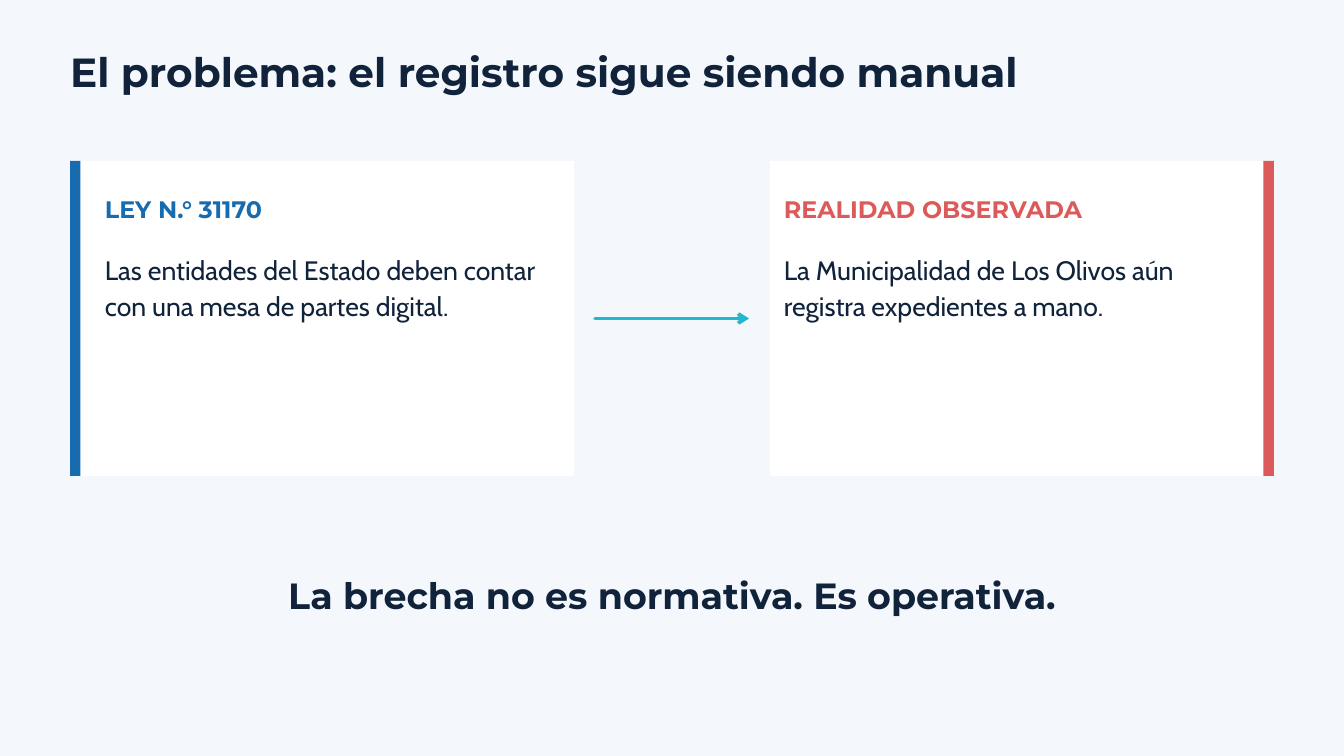
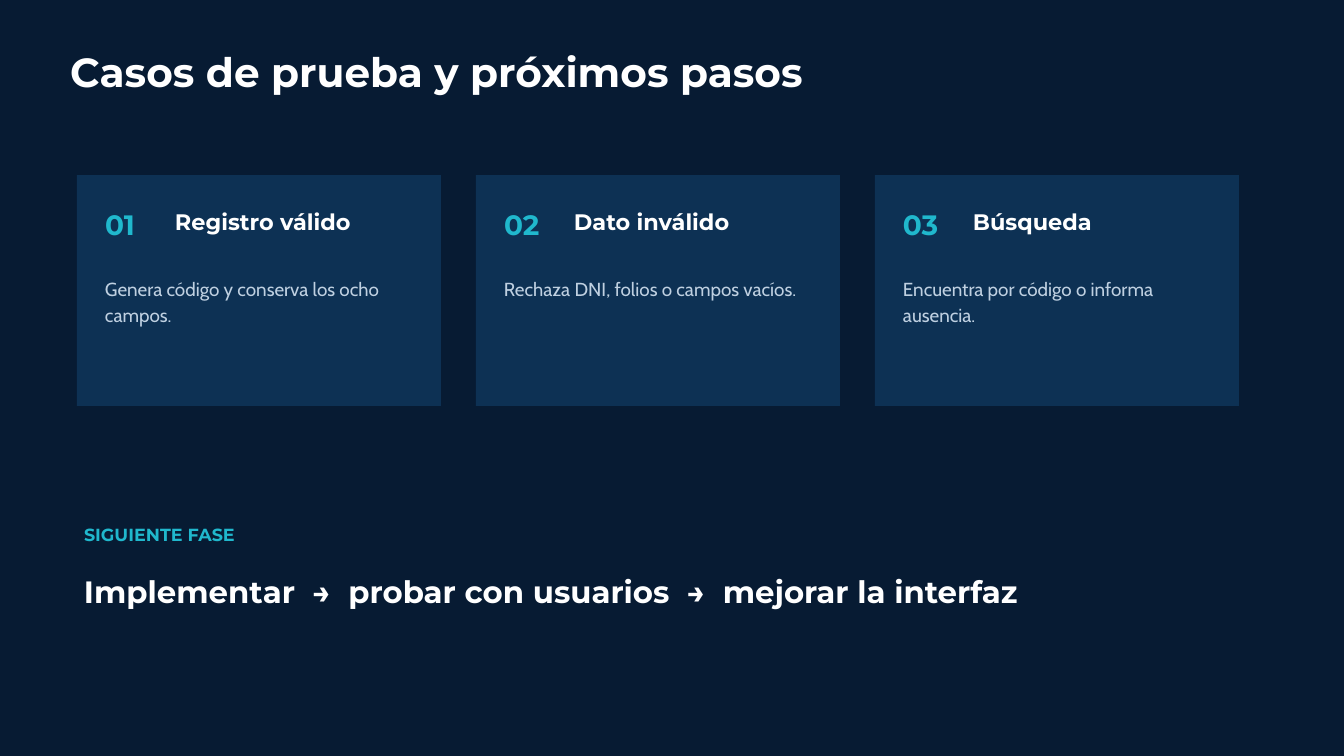
from lxml import etree
from pptx import Presentation
from pptx.dml.color import RGBColor
from pptx.enum.shapes import MSO_CONNECTOR, MSO_SHAPE
from pptx.enum.text import MSO_ANCHOR, MSO_AUTO_SIZE, PP_ALIGN
from pptx.oxml.ns import qn
from pptx.util import Inches, Pt

RECTANGLE = MSO_SHAPE.RECTANGLE
STRAIGHT = MSO_CONNECTOR.STRAIGHT
LEFT, CENTER = PP_ALIGN.LEFT, PP_ALIGN.CENTER

COLORS = {
    "light": "F4F7FB", "night": "071B33", "ink": "10233B", "white": "FFFFFF",
    "blue": "176BAF", "red": "DC5A5A", "cyan": "20B8CD",
    "navy": "0D3154", "mist": "BFD0E1",
}
RGB = {name: RGBColor.from_string(value) for name, value in COLORS.items()}

HEADING, BODY = "Montserrat", "Cabin"
FORMATS = {  # font attributes and exact line spacing in points
    "title": ({"name": HEADING, "size": Pt(43.5), "bold": True}, 45.7),
    "label": ({"name": HEADING, "size": Pt(25.5), "bold": True}, 26.8),
    "statement": ({"name": BODY, "size": Pt(28.5), "bold": False}, 38.5),
    "conclusion": ({"name": HEADING, "size": Pt(39), "bold": True}, 41),
    "number": ({"name": HEADING, "size": Pt(30), "bold": True}, 31.5),
    "case": ({"name": HEADING, "size": Pt(24), "bold": True}, 24.7),
    "detail": ({"name": BODY, "size": Pt(20.2), "bold": False}, 27.3),
    "phase": ({"name": HEADING, "size": Pt(18.8), "bold": True}, 19.7),
    "steps": ({"name": HEADING, "size": Pt(33), "bold": True}, 34),
}

# The slide is a grid of 192 columns and 108 rows of square cells.
COLUMNS, ROWS = 192, 108
CELL = Inches(20) / COLUMNS


def write(shape, text, style, color, align=LEFT):
    frame = shape.text_frame
    frame.word_wrap = True
    frame.vertical_anchor = MSO_ANCHOR.TOP
    for side in ("left", "top", "right", "bottom"):
        setattr(frame, f"margin_{side}", 0)
    frame.text = text
    paragraph = frame.paragraphs[0]
    font_values, spacing = FORMATS[style]
    paragraph.alignment = align
    paragraph.line_spacing = Pt(spacing)
    paragraph.space_before = Pt(0)
    font = paragraph.runs[0].font
    for attribute, value in font_values.items():
        setattr(font, attribute, value)
    font.color.rgb = RGB[color]


def place(shapes, cells, fill=None):
    """Add a filled rectangle, or a text box when there is no fill, on grid cells."""
    box = [round(CELL * cell) for cell in cells]
    if fill is None:
        text_box = shapes.add_textbox(*box)
        text_box.text_frame.auto_size = MSO_AUTO_SIZE.SHAPE_TO_FIT_TEXT
        return text_box
    panel = shapes.add_shape(RECTANGLE, *box)
    panel.shadow.inherit = False
    panel.fill.solid()
    panel.fill.fore_color.rgb = RGB[fill]
    panel.line.fill.background()
    return panel


prs = Presentation()
prs.slide_width = round(CELL * COLUMNS)
prs.slide_height = round(CELL * ROWS)
title_layout = prs.slide_layouts.get_by_name("Title Only")

title_area = {"left": 10, "top": 7.5, "width": 150, "height": 6.1}
for attribute, cells in title_area.items():
    setattr(title_layout.placeholders[0], attribute, round(CELL * cells))

slides = []
for heading, background, title_color in [
    ("El problema: el registro sigue siendo manual", "light", "ink"),
    ("Casos de prueba y próximos pasos", "night", "white"),
]:
    slide = prs.slides.add_slide(title_layout)
    slide.background.fill.solid()
    slide.background.fill.fore_color.rgb = RGB[background]
    write(slide.shapes.title, heading, "title", title_color)
    slide.shapes.title.text_frame.auto_size = MSO_AUTO_SIZE.NONE
    slides.append(slide)
problem, next_steps = slides

# Problem: what the law asks for against what was observed
card_top, card_width, card_height, accent_width = 23, 72, 45, 1.5
for card_left, accent_left, text_left, accent, label, statement in [
    (10, 10, 15, "blue", "LEY N.° 31170",
     "Las entidades del Estado deben contar con una mesa de partes digital."),
    (110, 182 - accent_width, 112, "red", "REALIDAD OBSERVADA",
     "La Municipalidad de Los Olivos aún registra expedientes a mano."),
]:
    card = problem.shapes.add_group_shape().shapes
    place(card, (card_left, card_top, card_width, card_height), "white")
    place(card, (accent_left, card_top, accent_width, card_height), accent)
    write(place(card, (text_left, 28.3, 62, 3.7)), label, "label", accent)
    write(place(card, (text_left, 35.7, 62, 9.9)), statement, "statement", "ink")

gap_middle = card_top + card_height / 2
gap_arrow = problem.shapes.add_connector(
    STRAIGHT, *[round(CELL * cell) for cell in (85, gap_middle, 107, gap_middle)])
gap_arrow.line.color.rgb = RGB["cyan"]
gap_arrow.line.width = Pt(3.75)
arrow_line = gap_arrow.line._get_or_add_ln()
arrow_line.set("cap", "rnd")
etree.SubElement(arrow_line, qn("a:tailEnd"), type="arrow")
etree.SubElement(gap_arrow._element.spPr, qn("a:effectLst"))

write(place(problem.shapes, (39, 82.6, 114, 5.6)),
      "La brecha no es normativa. Es operativa.", "conclusion", "ink", CENTER)

# Test cases in three equal columns
case_left, case_width, case_gap = 11, 52, 5
for index, (case, detail) in enumerate([
    ("Registro válido", "Genera código y conserva los ocho campos."),
    ("Dato inválido", "Rechaza DNI, folios o campos vacíos."),
    ("Búsqueda", "Encuentra por código o informa ausencia."),
]):
    left = case_left + index * (case_width + case_gap)
    card = next_steps.shapes.add_group_shape().shapes
    place(card, (left, 25, case_width, 33), "navy")
    write(place(card, (left + 4, 30.3, 9, 4.4)), f"{index + 1:02}", "number", "cyan")
    write(place(card, (left + 14, 30.3, 37, 3.4)), case, "case", "white")
    write(place(card, (left + 4, 39.3, 45, 7)), detail, "detail", "mist")

write(place(next_steps.shapes, (12, 75.3, 40, 2.7)), "SIGUIENTE FASE", "phase", "cyan")
write(place(next_steps.shapes, (12, 82.6, 165, 4.6)),
      "Implementar  →  probar con usuarios  →  mejorar la interfaz", "steps", "white")

prs.save("out.pptx")
